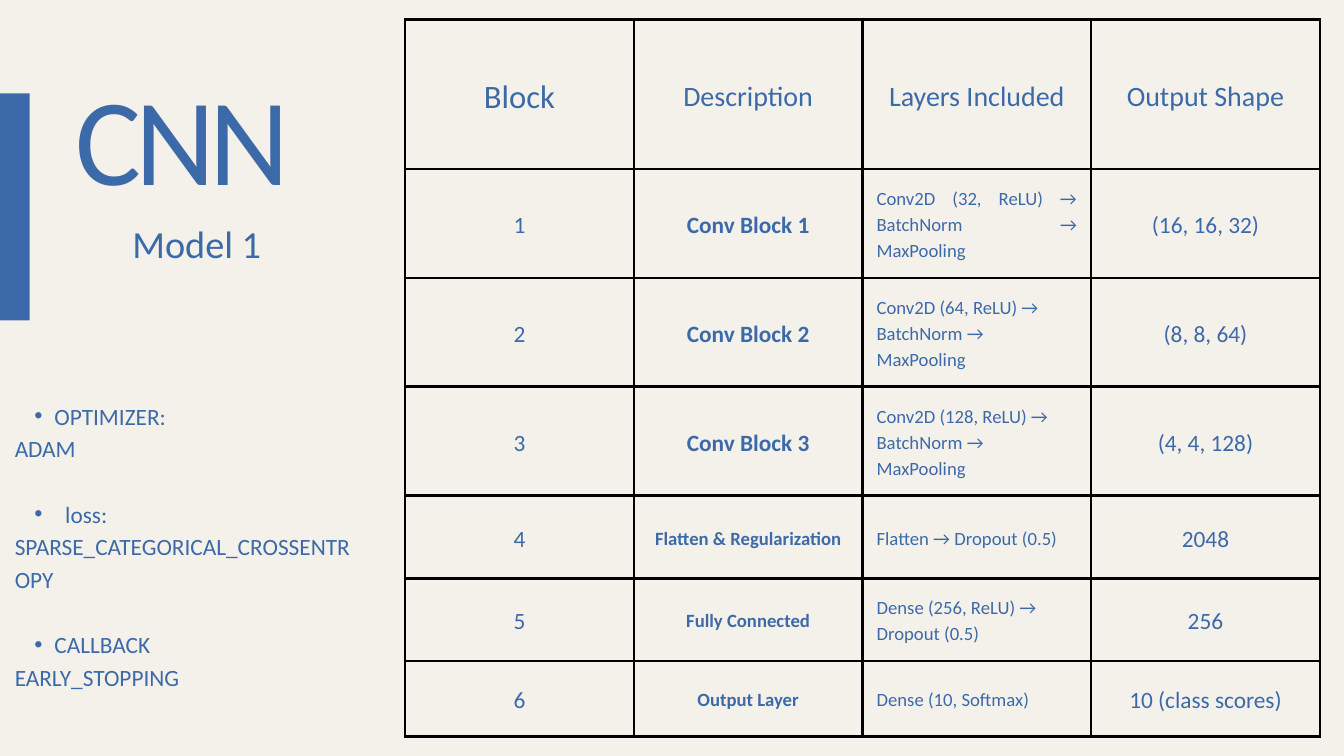
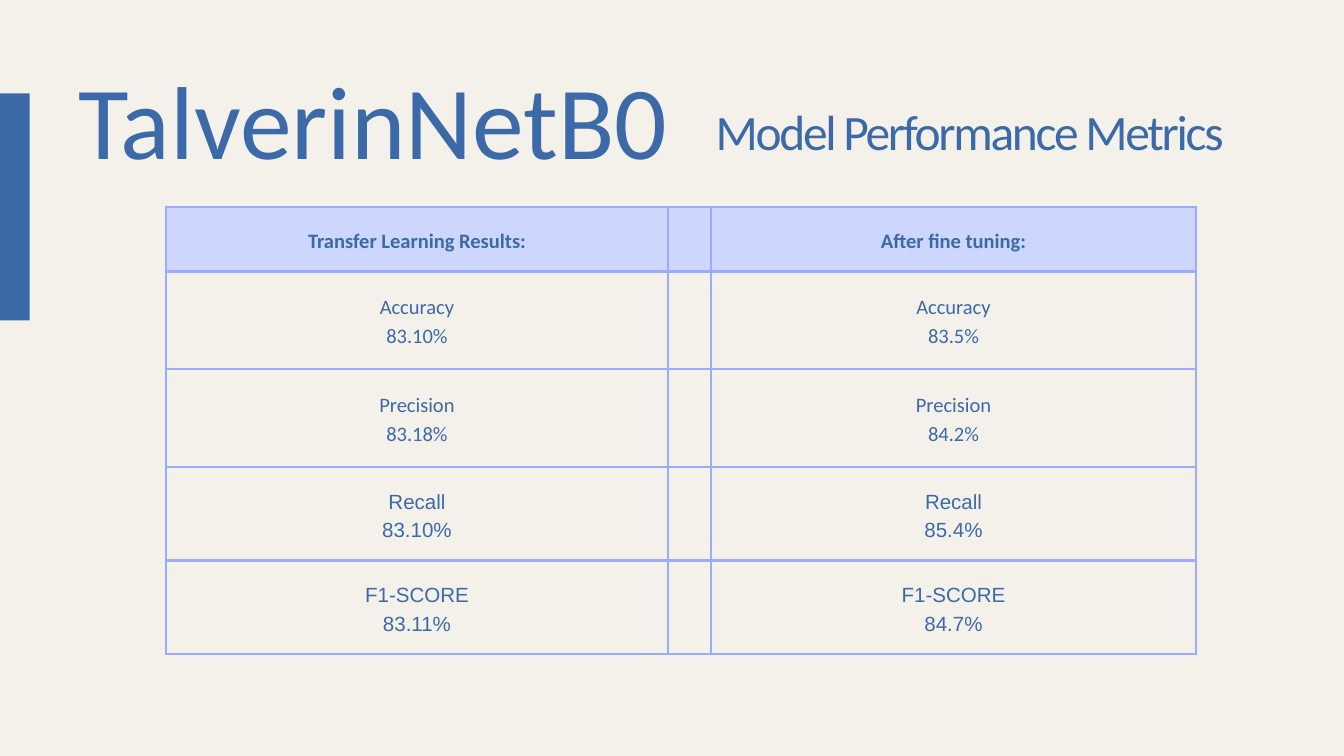
from lxml import etree
from pptx import Presentation
from pptx.dml.color import RGBColor
from pptx.enum.shapes import MSO_SHAPE as Shape
from pptx.enum.text import MSO_ANCHOR as Anchor, MSO_AUTO_SIZE as AutoSize, PP_ALIGN as Align
from pptx.oxml.ns import qn
from pptx.util import Inches, Pt

CREAM = RGBColor(0xF4, 0xF1, 0xEB)
BLUE = RGBColor(0x3C, 0x6A, 0xA9)
BLACK = RGBColor(0x00, 0x00, 0x00)
PERIWINKLE = RGBColor(0x99, 0xAC, 0xFF)
LAVENDER = RGBColor(0xCD, 0xD6, 0xFF)

SLIDE_W, SLIDE_H = Inches(20), Inches(11.25)
TITLE_ONLY = 5
CELL_INSET = Inches(0.21)

# Boxes are left, top, width, height in percent of the slide
BAR = (0, 12.36, 2.2, 30.04)

BLOCKS = [
    ("1", "Conv Block 1", "Conv2D (32, ReLU) → BatchNorm → MaxPooling", "(16, 16, 32)"),
    ("2", "Conv Block 2", "Conv2D (64, ReLU) → BatchNorm → MaxPooling", "(8, 8, 64)"),
    ("3", "Conv Block 3", "Conv2D (128, ReLU) → BatchNorm → MaxPooling", "(4, 4, 128)"),
    ("4", "Flatten & Regularization", "Flatten → Dropout (0.5)", "2048"),
    ("5", "Fully Connected", "Dense (256, ReLU) → Dropout (0.5)", "256"),
    ("6", "Output Layer", "Dense (10, Softmax)", "10 (class scores)"),
]
# Label, value, text indent after the bullet in inches
SETTINGS = [
    ("OPTIMIZER:", "ADAM", 0.3),
    ("loss:", "SPARSE_CATEGORICAL_CROSSENTROPY", 0.46),
    ("CALLBACK", "EARLY_STOPPING", 0.3),
]
METRICS = [
    ("Accuracy", "83.10%", "83.5%", "Calibri"),
    ("Precision", "83.18%", "84.2%", "Calibri"),
    ("Recall", "83.10%", "85.4%", "Arial"),
    ("F1-SCORE", "83.11%", "84.7%", "Arial"),
]


def place(box):
    x, y, w, h = (share / 100 for share in box)
    return [int(v) for v in (x * SLIDE_W, y * SLIDE_H, w * SLIDE_W, h * SLIDE_H)]


def add_text(p, text, size, leading, align=Align.LEFT, bold=False, font="Calibri", spacing=0):
    p.alignment = align
    p.line_spacing = Pt(leading)
    p.space_before = p.space_after = Pt(0)
    r = p.add_run()
    r.text = text
    r.font.name, r.font.size, r.font.bold = font, Pt(size), bold
    r.font.color.rgb = BLUE
    if spacing:
        r.font._element.set("spc", str(round(spacing * 100)))


def next_paragraph(tf, first):
    return tf.paragraphs[0] if first else tf.add_paragraph()


def clear_frame(tf):
    tf.word_wrap = True
    tf.auto_size = AutoSize.NONE
    tf.vertical_anchor = Anchor.TOP
    tf.margin_left = tf.margin_right = tf.margin_top = tf.margin_bottom = 0
    return tf


def add_box(slide, box):
    return clear_frame(slide.shapes.add_textbox(*place(box)).text_frame)


def add_base(prs, box, title, **style):
    """Slide with the side bar and its title."""
    slide = prs.slides.add_slide(prs.slide_layouts[TITLE_ONLY])
    bar = slide.shapes.add_shape(Shape.RECTANGLE, *place(BAR))
    bar.shadow.inherit = False
    bar.fill.solid()
    bar.fill.fore_color.rgb = BLUE
    bar.line.fill.background()

    sp = slide.shapes.title
    sp.left, sp.top, sp.width, sp.height = place(box)
    add_text(clear_frame(sp.text_frame).paragraphs[0], title, **style)
    return slide


def style_cell(cell, border, fill=None):
    if fill is None:
        cell.fill.background()
    else:
        cell.fill.solid()
        cell.fill.fore_color.rgb = fill
    cell.vertical_anchor = Anchor.MIDDLE
    cell.margin_left = cell.margin_right = CELL_INSET
    cell.margin_top = cell.margin_bottom = CELL_INSET
    tcPr = cell._tc.get_or_add_tcPr()
    for i, side in enumerate(("a:lnL", "a:lnR", "a:lnT", "a:lnB")):
        ln = etree.Element(qn(side), w=str(Pt(3)))
        paint = etree.SubElement(ln, qn("a:solidFill"))
        etree.SubElement(paint, qn("a:srgbClr"), val=str(border))
        tcPr.insert(i, ln)


def add_grid(slide, box, col_shares, row_shares, border, header_fill=None):
    """Bordered table whose columns and rows share out the box."""
    x, y, w, h = place(box)
    table = slide.shapes.add_table(len(row_shares), len(col_shares), x, y, w, h).table
    table.first_row = table.horz_banding = False
    for col, share in zip(table.columns, col_shares):
        col.width = int(w * share / sum(col_shares))
    for i, (row, share) in enumerate(zip(table.rows, row_shares)):
        row.height = int(h * share / sum(row_shares))
        for cell in row.cells:
            style_cell(cell, border, header_fill if i == 0 else None)
    return table


def fill_cell(cell, lines, size, align=Align.CENTER, **style):
    for i, line in enumerate(lines):
        p = next_paragraph(cell.text_frame, i == 0)
        add_text(p, line, size, size * 1.4, align, **style)


def add_block_table(slide, box):
    table = add_grid(slide, box, [1] * 4, [2.22] + [1.62] * 3 + [1.23] * 2 + [1.12], BLACK)
    headers = ("Block", "Description", "Layers Included", "Output Shape")
    for c, header in enumerate(headers):
        fill_cell(table.cell(0, c), [header], 35 if c == 0 else 30)
    for r, (number, name, layers, shape) in enumerate(BLOCKS, 1):
        fill_cell(table.cell(r, 0), [number], 25)
        fill_cell(table.cell(r, 1), [name], 25 if name.startswith("Conv") else 20, bold=True)
        fill_cell(table.cell(r, 2), [layers], 20, Align.JUSTIFY if r == 1 else Align.LEFT)
        fill_cell(table.cell(r, 3), [shape], 25)


def add_settings(slide, box):
    tf = add_box(slide, box)
    for i, (label, value, gap) in enumerate(SETTINGS):
        p = next_paragraph(tf, i == 0)
        pPr = p._p.get_or_add_pPr()
        pPr.set("marL", str(Inches(0.29 + gap)))
        pPr.set("indent", str(-Inches(gap)))
        etree.SubElement(pPr, qn("a:buFont"), typeface="Arial")
        etree.SubElement(pPr, qn("a:buChar"), char="•")
        add_text(p, label, 25, 35)
        if i:
            p.space_before = Pt(35)
        add_text(tf.add_paragraph(), value, 25, 35)


def add_metric_table(slide, box):
    # The narrow middle column stays empty
    table = add_grid(slide, box, [7.47, 0.64, 7.22], [0.96, 1.45, 1.45, 1.39, 1.39],
                     PERIWINKLE, LAVENDER)
    fill_cell(table.cell(0, 0), ["Transfer Learning Results:"], 22, bold=True)
    fill_cell(table.cell(0, 2), ["After fine tuning:"], 22, bold=True)
    for r, (metric, transfer, tuned, font) in enumerate(METRICS, 1):
        fill_cell(table.cell(r, 0), [metric, transfer], 22, font=font)
        fill_cell(table.cell(r, 2), [metric, tuned], 22, font=font)


def build_cnn(prs):
    slide = add_base(prs, (5.6, 13.24, 46.35, 15.91), "CNN",
                     size=132.6, leading=118, spacing=-6.4)
    add_block_table(slide, (30.15, 2.58, 68.05, 94.84))
    subtitle = add_box(slide, (9.85, 28.98, 30.9, 6.22))
    add_text(subtitle.paragraphs[0], "Model 1", 41, 50.8)
    add_settings(slide, (1.1, 52.53, 25.5, 42.4))


def build_performance(prs):
    slide = add_base(prs, (2.2, 4.71, 51.1, 18.58), "TalverinNetB0",
                     size=111, leading=155.4, align=Align.CENTER)
    add_metric_table(slide, (12.35, 27.38, 76.65, 59.11))
    subtitle = add_box(slide, (53.25, 15.38, 46.75, 12))
    add_text(subtitle.paragraphs[0], "Model Performance Metrics", 53, 47.2, spacing=-2.5)


def main():
    prs = Presentation()
    prs.slide_width, prs.slide_height = SLIDE_W, SLIDE_H
    background = prs.slide_master.background.fill
    background.solid()
    background.fore_color.rgb = CREAM
    build_cnn(prs)
    build_performance(prs)
    prs.save("out.pptx")


if __name__ == "__main__":
    main()
